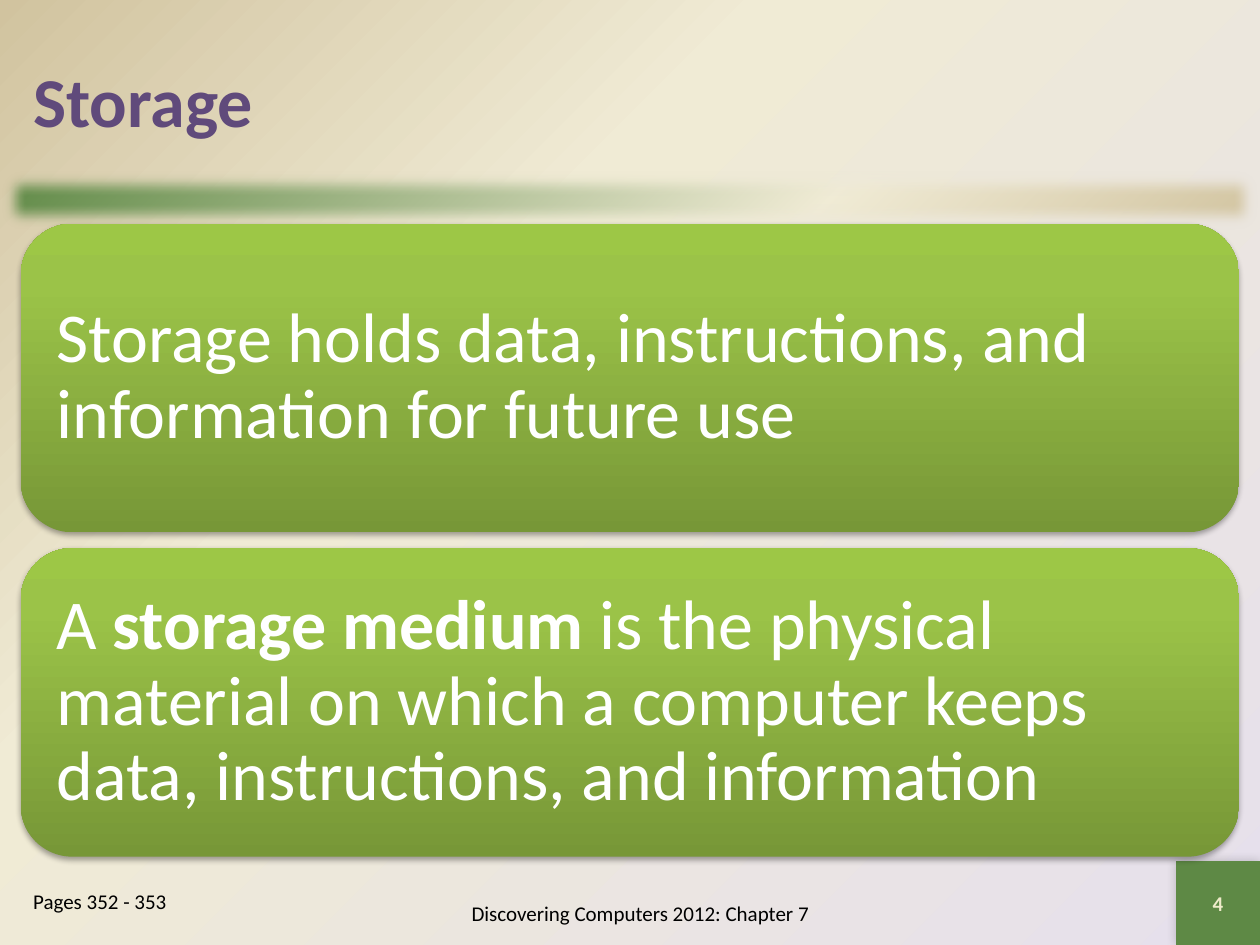
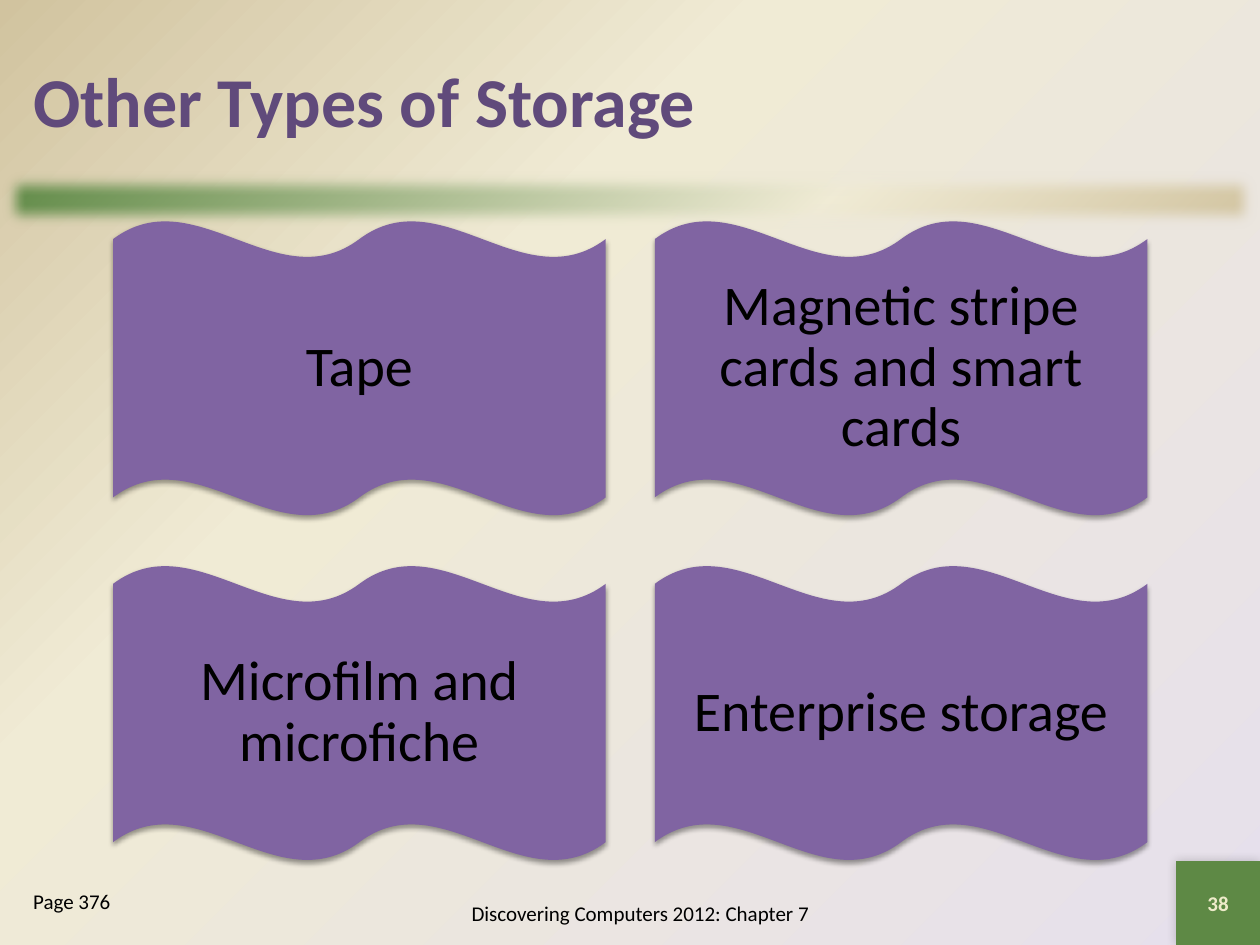
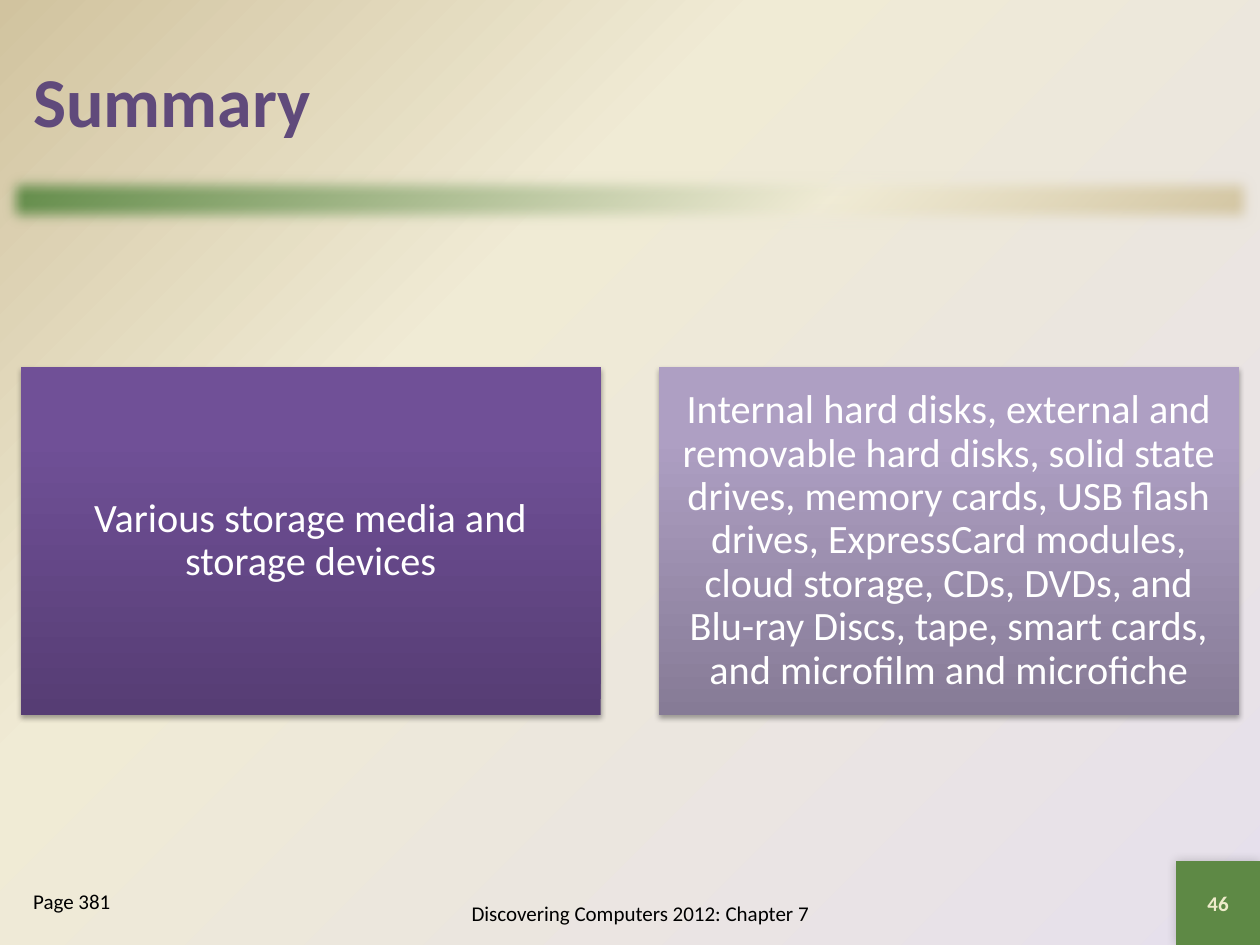
from dataclasses import dataclass

from pptx import Presentation
from pptx.dml.color import RGBColor
from pptx.enum.shapes import MSO_SHAPE
from pptx.enum.text import MSO_ANCHOR, PP_ALIGN
from pptx.oxml import parse_xml
from pptx.oxml.ns import nsdecls
from pptx.util import Cm, Pt


@dataclass(frozen=True)
class Theme:
    font: str = "Calibri"
    title_size: int = 40
    card_size: int = 40
    wave_size: int = 32
    summary_size: int = 23
    footer_size: int = 12
    title: str = "604A7B"
    black: str = "000000"
    white: str = "FFFFFF"
    cream: str = "EEEBCA"
    green: str = "5E8945"
    purple: str = "8064A2"
    backdrop: tuple = ((0, "E6E0EC"), (65, "F0EBD5"), (100, "D1C39F"))
    band: tuple = ((0, "5E8945"), (65, "F0EBD5"), (100, "D1C39F"))
    lime: tuple = ((0, "779737"), (80, "9BC348"), (100, "9DC746"))
    violet: tuple = ((0, "563D74"), (80, "705097"), (100, "704F99"))
    lilac: tuple = ((0, "867B96"), (80, "AE9FC3"), (100, "AE9FC4"))
    card_shadow: tuple = (35, 3.1, 1.8, 90)
    wave_shadow: tuple = (38, 3.1, 1.6, 90)
    corner_shadow: tuple = (20, 6, 0, 225)


theme = Theme()
upward = '<a:lin ang="16200000" scaled="0"/>'
diagonal = '<a:lin ang="2700000" scaled="0"/>'
from_corner = '<a:path path="circle"><a:fillToRect l="100000" t="100000"/></a:path>'


def paint(properties, stops, direction):
    colours = "".join(
        f'<a:gs pos="{position * 1000}"><a:srgbClr val="{colour}"/></a:gs>'
        for position, colour in stops
    )
    gradient = parse_xml(
        f'<a:gradFill {nsdecls("a")} rotWithShape="1">'
        f"<a:gsLst>{colours}</a:gsLst>{direction}</a:gradFill>"
    )
    properties.replace(properties.find("{*}noFill"), gradient)


def write(slide, text, box, *, size, color, preset=None, fill=None, direction=upward,
          shadow=None, soft_edge=0, bold=False, align=PP_ALIGN.LEFT,
          anchor=MSO_ANCHOR.MIDDLE, inset=None, spacing=1.0):
    lengths = [Cm(value) for value in box]
    if preset is None:
        shape = slide.shapes.add_textbox(*lengths)
    else:
        shape = slide.shapes.add_shape(preset, *lengths)
        shape.line.fill.background()
        shape.shadow.inherit = False
        if isinstance(fill, str):
            shape.fill.solid()
            shape.fill.fore_color.rgb = RGBColor.from_string(fill)
        else:
            shape.fill.background()
            paint(shape._element.spPr, fill, direction)
        effects = shape._element.spPr.find("{*}effectLst")
        if shadow:
            alpha, blur, distance, angle = shadow
            effects.append(parse_xml(
                f'<a:outerShdw {nsdecls("a")} blurRad="{Pt(blur)}" dist="{Pt(distance)}" '
                f'dir="{angle * 60000}" rotWithShape="0"><a:srgbClr val="{theme.black}">'
                f'<a:alpha val="{alpha * 1000}"/></a:srgbClr></a:outerShdw>'
            ))
        if soft_edge:
            effects.append(parse_xml(f'<a:softEdge {nsdecls("a")} rad="{Pt(soft_edge)}"/>'))
    frame = shape.text_frame
    frame.word_wrap = True
    frame.vertical_anchor = anchor
    if inset is not None:
        frame.margin_left = frame.margin_right = Cm(inset)
        frame.margin_top = frame.margin_bottom = Cm(inset)
    paragraph = frame.paragraphs[0]
    paragraph.alignment = align
    paragraph.line_spacing = spacing
    for index, piece in enumerate(text.split("*")):
        if piece:
            run = paragraph.add_run()
            run.text = piece
            run.font.name = theme.font
            run.font.size = Pt(size)
            run.font.bold = bold or index % 2 == 1
            run.font.color.rgb = RGBColor.from_string(color)


deck = Presentation()
deck.slide_width = Cm(25.4)
deck.slide_height = Cm(19.05)
backdrop = deck.slide_master.background
backdrop.fill.background()
paint(deck.slide_master._element.cSld.find("{*}bg/{*}bgPr"), theme.backdrop, from_corner)

pages = []
for title, number, reference in (
    ("Storage", "4", "Pages 352 - 353"),
    ("Other Types of Storage", "38", "Page 376"),
    ("Summary", "46", "Page 381"),
):
    page = deck.slides.add_slide(deck.slide_layouts[6])
    write(page, "", (0, 3.39, 25.4, 1.27), size=theme.footer_size, color=theme.black,
          preset=MSO_SHAPE.RECTANGLE, fill=theme.band, direction=diagonal, soft_edge=8.86)
    write(page, number, (23.71, 17.36, 1.69, 1.69), size=theme.footer_size,
          color=theme.cream, bold=True, align=PP_ALIGN.CENTER,
          preset=MSO_SHAPE.RECTANGLE, fill=theme.green, shadow=theme.corner_shadow)
    write(page, title, (0.42, 0.42, 24.56, 3.18), size=theme.title_size,
          color=theme.title, bold=True)
    write(page, "Discovering Computers 2012: Chapter 7", (7.62, 17.78, 10.58, 1.27),
          size=theme.footer_size, color=theme.black, align=PP_ALIGN.CENTER)
    write(page, reference, (0.42, 17.78, 4.66, 1.27), size=theme.footer_size,
          color=theme.black, anchor=MSO_ANCHOR.TOP)
    pages.append(page)

storage, other_types, summary = pages

for row, statement in enumerate((
    "Storage holds data, instructions, and information for future use",
    "A *storage medium* is the physical material on which a computer keeps "
    "data, instructions, and information",
)):
    write(storage, statement, (0.42, 4.51 + row * 6.54, 24.56, 6.22),
          size=theme.card_size, color=theme.white, preset=MSO_SHAPE.ROUNDED_RECTANGLE,
          fill=theme.lime, shadow=theme.card_shadow, inset=0.42, spacing=0.9)

for index, storage_type in enumerate((
    "Tape",
    "Magnetic stripe cards and smart cards",
    "Microfilm and microfiche",
    "Enterprise storage",
)):
    row, column = divmod(index, 2)
    write(other_types, storage_type, (2.28 + column * 10.92, 4.45 + row * 6.95, 9.93, 5.95),
          size=theme.wave_size, color=theme.black, preset=MSO_SHAPE.DOUBLE_WAVE,
          fill=theme.purple, shadow=theme.wave_shadow, align=PP_ALIGN.CENTER,
          inset=0.34, spacing=0.9)

for column, (topic, shade) in enumerate((
    ("Various storage media and storage devices", theme.violet),
    ("Internal hard disks, external and removable hard disks, solid state drives, "
     "memory cards, USB flash drives, ExpressCard modules, cloud storage, CDs, DVDs, "
     "and Blu-ray Discs, tape, smart cards, and microfilm and microfiche", theme.lilac),
)):
    write(summary, topic, (0.42 + column * 12.87, 7.4, 11.69, 7.01),
          size=theme.summary_size, color=theme.white, preset=MSO_SHAPE.RECTANGLE,
          fill=shade, shadow=theme.card_shadow, align=PP_ALIGN.CENTER,
          inset=0.24, spacing=0.9)

deck.save("out.pptx")
